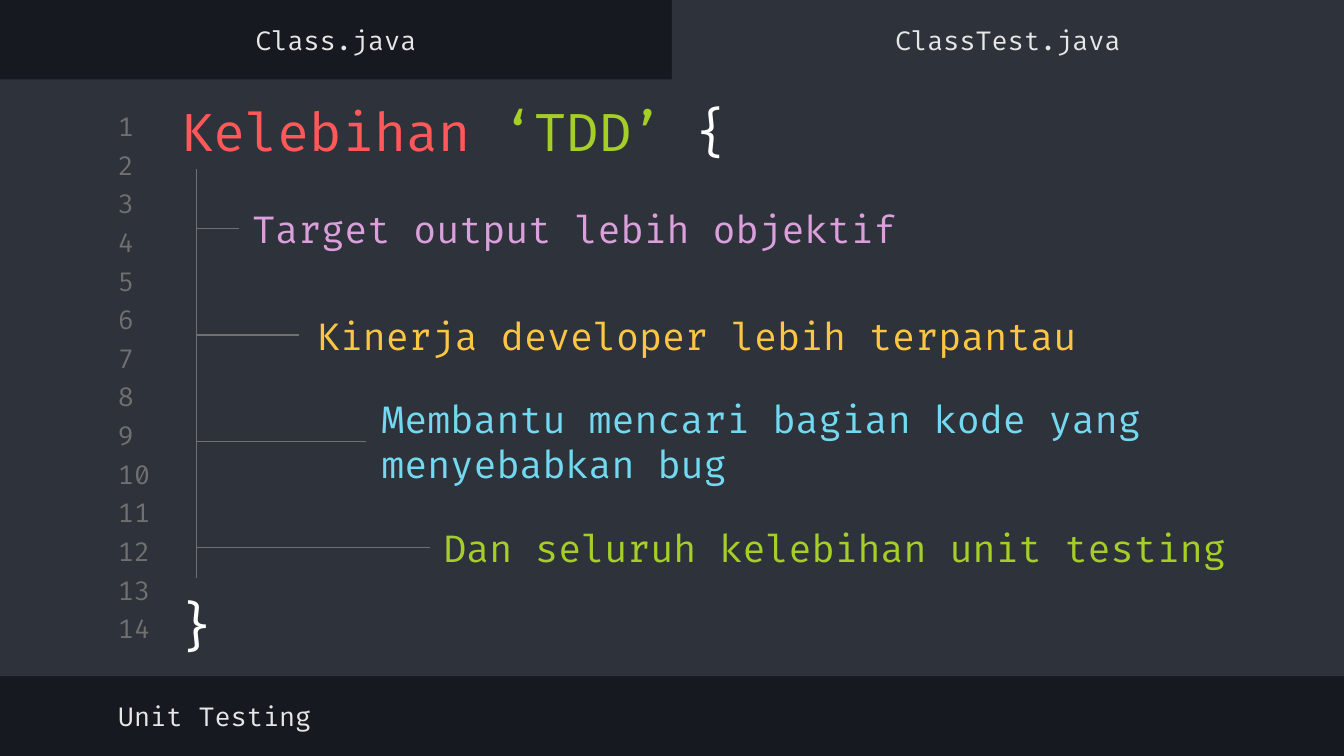
from dataclasses import dataclass

from lxml.etree import SubElement
from pptx import Presentation
from pptx.dml.color import RGBColor
from pptx.enum.shapes import MSO_CONNECTOR, MSO_SHAPE
from pptx.enum.text import MSO_ANCHOR as Anchor, MSO_AUTO_SIZE as AutoSize, PP_ALIGN as Align
from pptx.oxml.ns import qn
from pptx.util import Cm, Pt

FONT = "Fira Code"
DARK = RGBColor(0x16, 0x19, 0x1F)
PANEL = RGBColor(0x2E, 0x32, 0x3B)
GRAY = RGBColor(0x70, 0x70, 0x70)
LIGHT = RGBColor(0xE7, 0xE7, 0xE7)
WHITE = RGBColor(0xFF, 0xFF, 0xFF)
RED = RGBColor(0xFF, 0x58, 0x58)
GREEN = RGBColor(0xA5, 0xCF, 0x27)
PURPLE = RGBColor(0xDB, 0xA0, 0xDB)
YELLOW = RGBColor(0xFC, 0xC6, 0x42)
BLUE = RGBColor(0x72, 0xD9, 0xF0)


@dataclass(frozen=True)
class Box:
    """Left, top, width and height in centimetres."""
    left: float
    top: float
    width: float
    height: float

    def lengths(self) -> tuple:
        return Cm(self.left), Cm(self.top), Cm(self.width), Cm(self.height)


@dataclass(frozen=True)
class Benefit:
    text: str
    color: RGBColor
    left: float
    width: float
    branch_end: float


BENEFITS = [
    Benefit("Target output lebih objektif", PURPLE, 4.52, 13.82, 4.52),
    Benefit("Kinerja developer lebih terpantau", YELLOW, 5.74, 15.37, 5.66),
    Benefit("Membantu mencari bagian kode yang menyebabkan bug", BLUE, 6.96, 15.49, 6.91),
    Benefit("Dan seluruh kelebihan unit testing", GREEN, 8.13, 16.59, 8.13),
]
BENEFIT_TOP, BENEFIT_STEP, BENEFIT_HEIGHT = 3.51, 2.01, 1.63
STEM_X, STEM_TOP, STEM_BOTTOM = 3.71, 3.2, 10.92
LINE_COUNT, LINE_TOP, LINE_STEP = 14, 2.08, 0.73
MARGIN_LEFT = 1.98

presentation = Presentation()
presentation.slide_width, presentation.slide_height = Cm(25.4), Cm(14.29)
slide = presentation.slides.add_slide(presentation.slide_layouts[0])
slide.background.fill.solid()
slide.background.fill.fore_color.rgb = DARK
title, subtitle = slide.placeholders


def add_panel(box: Box) -> None:
    panel = slide.shapes.add_shape(MSO_SHAPE.RECTANGLE, *box.lengths())
    panel.shadow.inherit = False
    panel.fill.solid()
    panel.fill.fore_color.rgb = PANEL
    panel.line.fill.background()
    title.element.addprevious(panel.element)  # keep panels behind the text


def write(box: Box, *runs: tuple[str, RGBColor], size: float = 14, align=Align.LEFT,
          anchor=Anchor.MIDDLE, shape=None) -> None:
    """Write coloured runs into a placeholder, or into a new text box."""
    shape = shape or slide.shapes.add_textbox(*box.lengths())
    shape.left, shape.top, shape.width, shape.height = box.lengths()
    frame = shape.text_frame
    frame.word_wrap = True
    frame.auto_size = AutoSize.NONE
    frame.vertical_anchor = anchor
    frame.margin_left = frame.margin_right = Cm(0.25)
    frame.margin_top = frame.margin_bottom = Cm(0.25)
    paragraph = frame.paragraphs[0]
    paragraph.alignment = align
    paragraph.space_before = Pt(0)
    for text, color in runs:
        run = paragraph.add_run()
        run.text = text
        run.font.name = FONT
        run.font.size = Pt(size)
        run.font.color.rgb = color


def add_line(x1: float, y1: float, x2: float, y2: float) -> None:
    line = slide.shapes.add_connector(MSO_CONNECTOR.STRAIGHT, Cm(x1), Cm(y1), Cm(x2), Cm(y2))
    line.line.color.rgb = GRAY
    line.line.width = Pt(0.75)
    SubElement(line.element.spPr, qn("a:effectLst"))


# Editor window and active tab
add_panel(Box(0, 1.5, 25.4, 11.28))
add_panel(Box(12.7, 0, 12.7, 1.65))

# Tab names and footer
for left, name in ((0, "Class.java"), (12.7, "ClassTest.java")):
    write(Box(left, 0.25, 12.7, 1), (name, LIGHT), align=Align.CENTER)
write(Box(MARGIN_LEFT, 13.03, 13.51, 1), ("Unit Testing", LIGHT), shape=subtitle)

# Line numbers
for index in range(LINE_COUNT):
    write(Box(MARGIN_LEFT, LINE_TOP + index * LINE_STEP, 1.2, 0.61), (str(index + 1), GRAY))

# Title and closing brace
write(Box(3.18, 1.63, 20.24, 1.5), ("Kelebihan ", RED), ("‘TDD’ ", GREEN), ("{", WHITE),
      size=28, anchor=Anchor.TOP, shape=title)
write(Box(3.02, 10.97, 1.4, 1.7), ("}", WHITE), size=28, align=Align.CENTER, anchor=Anchor.TOP)

# Benefits hanging from the stem
add_line(STEM_X, STEM_TOP, STEM_X, STEM_BOTTOM)
for index, benefit in enumerate(BENEFITS):
    top = BENEFIT_TOP + index * BENEFIT_STEP
    middle = top + BENEFIT_HEIGHT / 2
    write(Box(benefit.left, top, benefit.width, BENEFIT_HEIGHT),
          (benefit.text, benefit.color), size=20)
    add_line(STEM_X, middle, benefit.branch_end, middle)

presentation.save("out.pptx")
